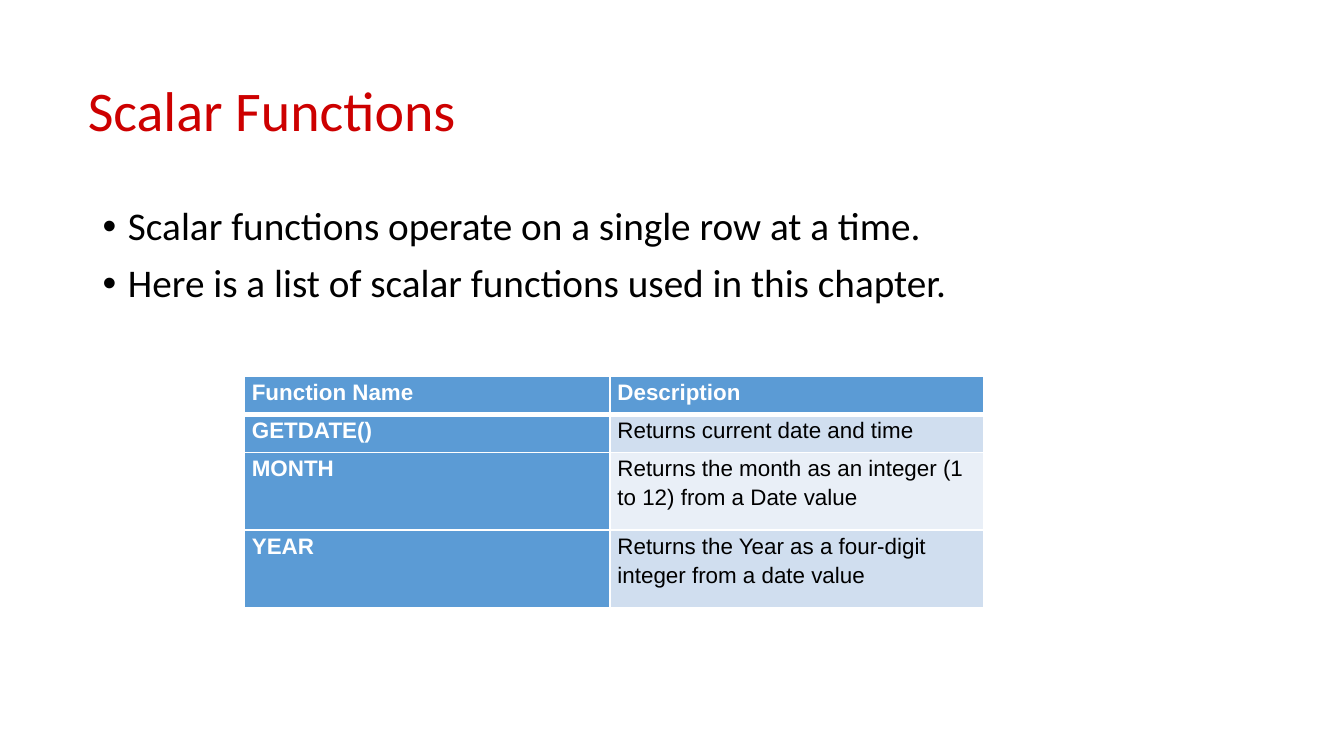
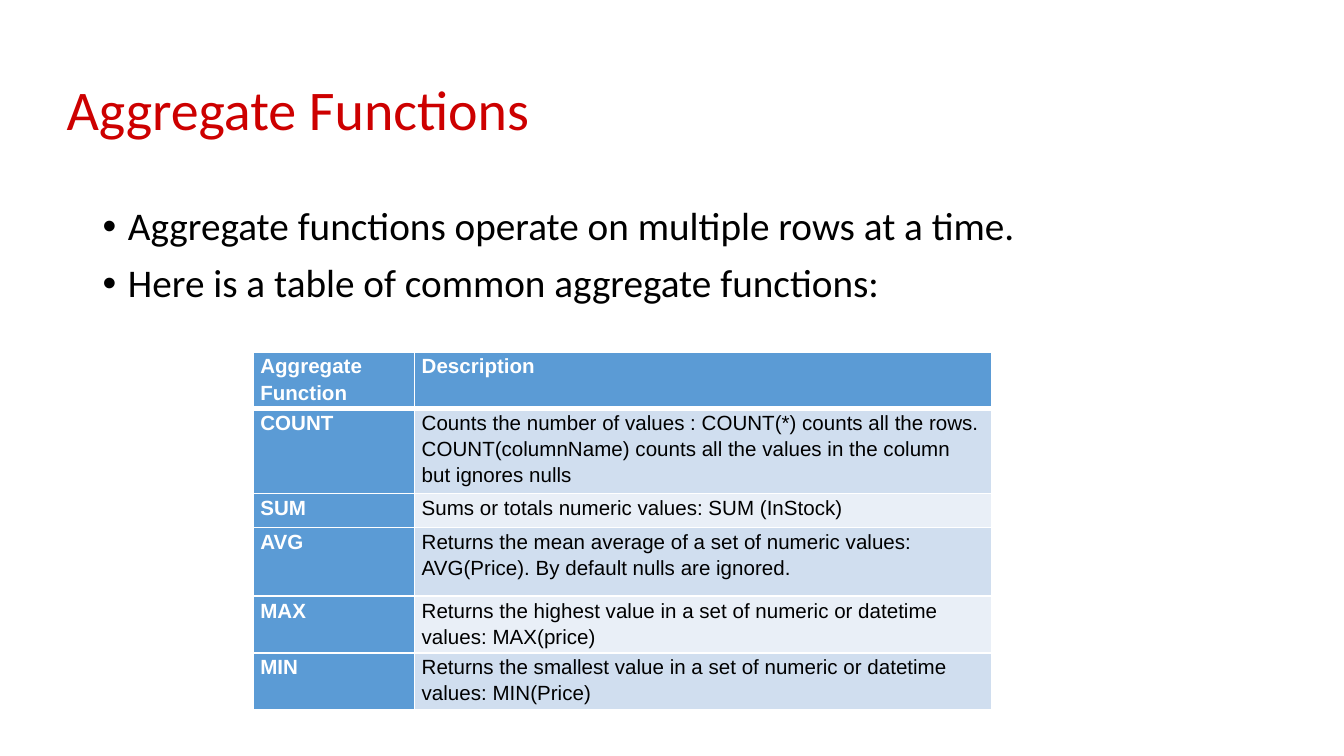
from collections import namedtuple

from lxml.etree import SubElement
from pptx import Presentation
from pptx.dml.color import RGBColor
from pptx.enum.text import MSO_ANCHOR as Anchor, PP_ALIGN as Align
from pptx.oxml import parse_xml
from pptx.oxml.ns import nsdecls, qn
from pptx.util import Cm, Pt

RED = RGBColor(0xCD, 0x00, 0x00)
BLACK = RGBColor(0x00, 0x00, 0x00)
WHITE = RGBColor(0xFF, 0xFF, 0xFF)
BLUE = RGBColor(0x5B, 0x9B, 0xD5)
BAND_DARK = RGBColor(0xD0, 0xDE, 0xEF)
BAND_LIGHT = RGBColor(0xE9, 0xEF, 0xF7)

HEADING_FONT = "Calibri"
TABLE_FONT = "Arial"
BULLET_INDENT = Cm(0.48)

Box = namedtuple("Box", "left top width height")
Grid = namedtuple("Grid", "left top columns rows size")

BODY_BOX = Box(1.75, 3.81, 21.89, 9.07)

SCALAR_ROWS = [
    ("Function Name", "Description"),
    ("GETDATE()", "Returns current date and time"),
    ("MONTH", "Returns the month as an integer (1 to 12) from a Date value"),
    ("YEAR", "Returns the Year as a four-digit integer from a date value"),
]
AGGREGATE_ROWS = [
    ("Aggregate Function", "Description"),
    ("COUNT", "Counts the number of values : COUNT(*) counts all the rows. "
              "COUNT(columnName) counts all the values in the column but ignores nulls"),
    ("SUM", "Sums or totals numeric values: SUM (InStock)"),
    ("AVG", "Returns the mean average of a set of numeric values: AVG(Price). "
            "By default nulls are ignored."),
    ("MAX", "Returns the highest value in a set of numeric or datetime values: MAX(price)"),
    ("MIN", "Returns the smallest value in a set of numeric or datetime values: MIN(Price)"),
]


def style_paragraph(paragraph, font_name, size, color, spacing, bold=False):
    paragraph.alignment = Align.LEFT
    paragraph.line_spacing = spacing
    for run in paragraph.runs:
        run.font.name = font_name
        run.font.size = Pt(size)
        run.font.bold = bold
        run.font.color.rgb = color


def add_text_frame(slide, box, anchor):
    frame = slide.shapes.add_textbox(*map(Cm, box)).text_frame
    frame.word_wrap = True
    frame.vertical_anchor = anchor
    frame.margin_left = frame.margin_right = Cm(0.19)
    frame.margin_top = frame.margin_bottom = Cm(0.1)
    return frame


def add_title(slide, box, title):
    frame = add_text_frame(slide, box, Anchor.MIDDLE)
    frame.text = title
    style_paragraph(frame.paragraphs[0], HEADING_FONT, 30, RED, 0.9)


def add_bullets(slide, box, points):
    frame = add_text_frame(slide, box, Anchor.TOP)
    frame.text = "\n".join(points)
    for index, paragraph in enumerate(frame.paragraphs):
        style_paragraph(paragraph, HEADING_FONT, 21, BLACK, 0.9)
        paragraph.space_before = Pt(8 if index else 0)
        properties = paragraph.runs[0]._r.getparent().get_or_add_pPr()
        properties.set("marL", str(BULLET_INDENT))
        properties.set("indent", str(-BULLET_INDENT))
        SubElement(properties, qn("a:buFont"), typeface="Arial")
        SubElement(properties, qn("a:buChar"), char="•")


def set_borders(cell, row_index):
    widths = {
        "lnL": 1,
        "lnR": 1,
        "lnT": 3 if row_index == 1 else 1,
        "lnB": 3 if row_index == 0 else 1,
    }
    properties = cell._tc.get_or_add_tcPr()
    for position, (side, width) in enumerate(widths.items()):
        properties.insert(position, parse_xml(
            f'<a:{side} {nsdecls("a")} w="{Pt(width)}"><a:solidFill>'
            f'<a:srgbClr val="{WHITE}"/></a:solidFill></a:{side}>'))


def style_cell(cell, row_index, column_index, size):
    heading = row_index == 0 or column_index == 0
    band = BAND_DARK if row_index % 2 else BAND_LIGHT
    cell.margin_left = cell.margin_right = Cm(0.14)
    cell.margin_top = cell.margin_bottom = 0
    cell.vertical_anchor = Anchor.TOP
    cell.fill.solid()
    cell.fill.fore_color.rgb = BLUE if heading else band
    set_borders(cell, row_index)
    style_paragraph(cell.text_frame.paragraphs[0], TABLE_FONT, size,
                    WHITE if heading else BLACK, 1.15, heading)


def add_function_table(slide, grid, entries):
    table = slide.shapes.add_table(
        len(entries), len(grid.columns), Cm(grid.left), Cm(grid.top),
        Cm(sum(grid.columns)), Cm(sum(grid.rows))).table
    for column, width in zip(table.columns, grid.columns):
        column.width = Cm(width)
    for row, height in zip(table.rows, grid.rows):
        row.height = Cm(height)
    for row_index, entry in enumerate(entries):
        for column_index, content in enumerate(entry):
            cell = table.cell(row_index, column_index)
            cell.text = content
            style_cell(cell, row_index, column_index, grid.size)


def add_function_slide(deck, title_box, title, points, grid, entries):
    slide = deck.slides.add_slide(deck.slide_layouts[6])
    slide.background.fill.solid()
    slide.background.fill.fore_color.rgb = WHITE
    add_title(slide, title_box, title)
    add_bullets(slide, BODY_BOX, points)
    add_function_table(slide, grid, entries)


def main():
    deck = Presentation()
    deck.slide_width, deck.slide_height = Cm(25.4), Cm(14.29)
    add_function_slide(
        deck, Box(1.47, 0.76, 21.89, 2.77), "Scalar Functions",
        ["Scalar functions operate on a single row at a time.",
         "Here is a list of scalar functions used in this chapter."],
        Grid(4.62, 7.11, [6.91, 7.06], [0.72, 0.72, 1.47, 1.47], 12), SCALAR_ROWS)
    add_function_slide(
        deck, Box(1.07, 0.74, 21.89, 2.77), "Aggregate Functions",
        ["Aggregate functions operate on multiple rows at a time.",
         "Here is a table of common aggregate functions:"],
        Grid(4.78, 6.65, [3.05, 10.92], [0.64, 1.3, 0.64, 1.3, 0.64, 0.64], 11),
        AGGREGATE_ROWS)
    deck.save("out.pptx")


if __name__ == "__main__":
    main()
